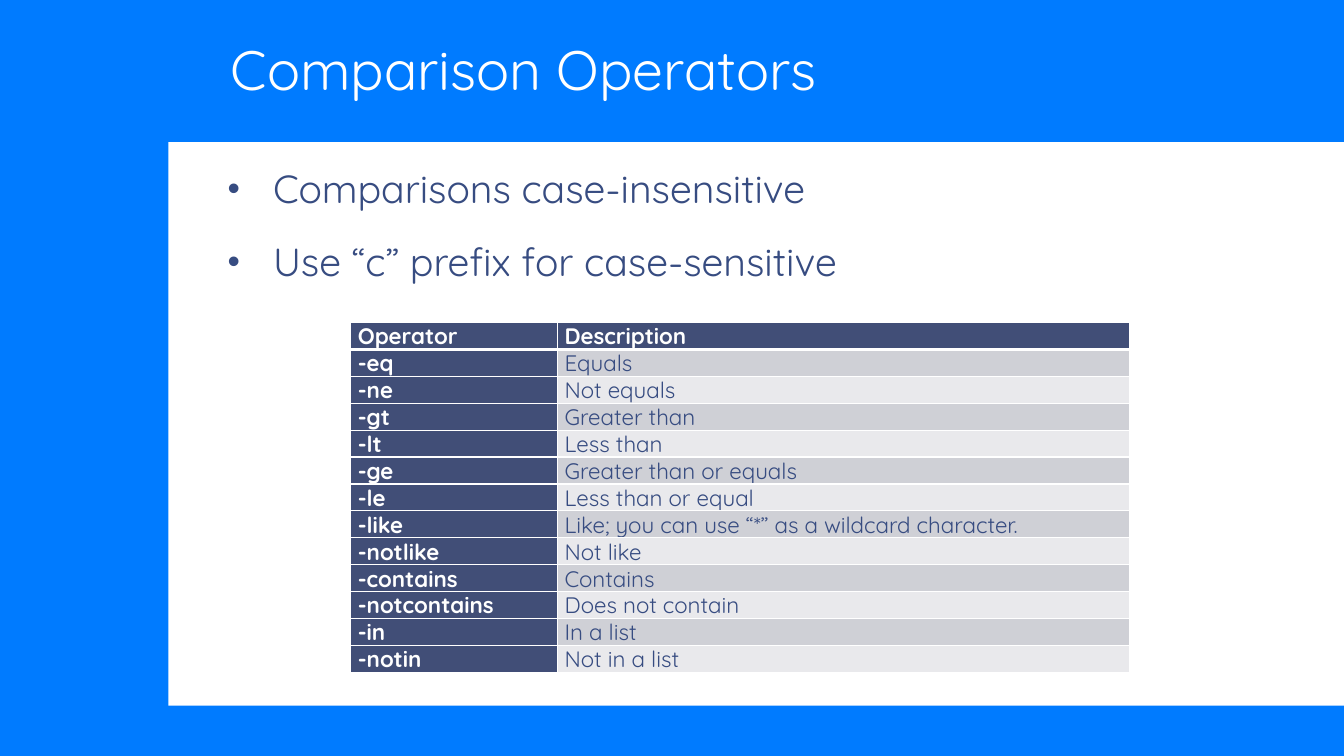
from dataclasses import dataclass

from lxml import etree
from pptx import Presentation
from pptx import util as u
from pptx.dml.color import RGBColor
from pptx.enum import shapes, text
from pptx.oxml import ns

PX = 9144  # 100 px to the inch


@dataclass(frozen=True)
class Theme:
    font: str = "Quicksand"
    blue: str = "007BFF"
    white: str = "FFFFFF"
    ink: str = "374C81"
    navy: str = "414E77"
    dark_band: str = "CFD0D6"
    light_band: str = "E9E9EC"
    title_size: float = 39.6
    bullet_size: float = 28
    cell_size: float = 16


THEME = Theme()

BULLETS = ["Comparisons case-insensitive", "Use “c” prefix for case-sensitive"]
OPERATORS = [
    ("Operator", "Description"),
    ("-eq", "Equals"),
    ("-ne", "Not equals"),
    ("-gt", "Greater than"),
    ("-lt", "Less than"),
    ("-ge", "Greater than or equals"),
    ("-le", "Less than or equal"),
    ("-like", "Like; you can use “*” as a wildcard character."),
    ("-notlike", "Not like"),
    ("-contains", "Contains"),
    ("-notcontains", "Does not contain"),
    ("-in", "In a list"),
    ("-notin", "Not in a list"),
]


def px(*lengths):
    return [u.Emu(length * PX) for length in lengths]


def paint(fill, color):
    fill.solid()
    fill.fore_color.rgb = RGBColor.from_string(color)


def style_text(paragraph, size, color, bold=False):
    for run in paragraph.runs:
        run.font.name = THEME.font
        run.font.size = u.Pt(size)
        run.font.bold = bold
        run.font.color.rgb = RGBColor.from_string(color)


def set_margins(target, side, edge):
    target.margin_left = target.margin_right = u.Emu(side * PX)
    target.margin_top = target.margin_bottom = u.Emu(edge * PX)


def add_bullet(paragraph, hang):
    props = paragraph._p.get_or_add_pPr()
    props.set("marL", str(hang * PX))
    props.set("indent", str(-hang * PX))
    etree.SubElement(props, ns.qn("a:buSzPct"), val="90000")
    etree.SubElement(props, ns.qn("a:buFont"), typeface="Arial")
    etree.SubElement(props, ns.qn("a:buChar"), char="•")


def set_borders(cell, bottom):
    props = cell._tc.get_or_add_tcPr()
    widths = {"a:lnL": 1, "a:lnR": 1, "a:lnT": 1, "a:lnB": bottom}
    for position, (side, width) in enumerate(widths.items()):
        line = etree.Element(ns.qn(side), w=str(u.Pt(width)))
        fill = etree.SubElement(line, ns.qn("a:solidFill"))
        etree.SubElement(fill, ns.qn("a:srgbClr"), val=THEME.white)
        props.insert(position, line)


def draw_panel(slide, box):
    panel = slide.shapes.add_shape(shapes.MSO_SHAPE.RECTANGLE, *px(*box))
    panel.shadow.inherit = False
    paint(panel.fill, THEME.white)
    panel.line.fill.background()


def draw_title(slide, box):
    frame = slide.shapes.add_textbox(*px(*box)).text_frame
    frame.word_wrap = True
    frame.vertical_anchor = text.MSO_ANCHOR.BOTTOM
    set_margins(frame, 13, 7)
    frame.text = "Comparison Operators"
    heading = frame.paragraphs[0]
    heading.line_spacing = 0.85
    style_text(heading, THEME.title_size, THEME.white)


def draw_bullets(slide, box):
    frame = slide.shapes.add_textbox(*px(*box)).text_frame
    frame.word_wrap = True
    set_margins(frame, 10, 5)
    frame.text = "\n".join(BULLETS)
    for point in frame.paragraphs:
        point.space_before = u.Pt(18.7)
        add_bullet(point, 45)
        style_text(point, THEME.bullet_size, THEME.ink)


def draw_operators(slide, box):
    left, top, width, height = box
    table = slide.shapes.add_table(len(OPERATORS), 2, *px(*box)).table
    operator_width = 205
    table.columns[0].width, table.columns[1].width = px(
        operator_width, width - operator_width)
    for row, entry in enumerate(OPERATORS):
        table.rows[row].height = u.Emu(height * PX // len(OPERATORS))
        band = THEME.dark_band if row % 2 else THEME.light_band
        for column, wording in enumerate(entry):
            heading = row == 0 or column == 0
            cell = table.cell(row, column)
            set_margins(cell, 7, 0)
            cell.text = wording
            style_text(cell.text_frame.paragraphs[0], THEME.cell_size,
                       THEME.white if heading else THEME.ink, heading)
            paint(cell.fill, THEME.navy if heading else band)
            set_borders(cell, 3 if row == 0 else 1)


def draw_slide(deck, box):
    left, top, width, height = box
    slide = deck.slides.add_slide(deck.slide_layouts[6])
    paint(slide.background.fill, THEME.blue)
    draw_panel(slide, (left + 167, top + 141, width - 167, 559))
    draw_title(slide, (left + 216, top + 33, 1058, 75))
    draw_bullets(slide, (left + 216, top + 158, 1058, 508))
    draw_operators(slide, (left + 348, top + 320, 772, 347))


def main():
    deck = Presentation()
    deck.slide_width, deck.slide_height = px(1333, 750)
    draw_slide(deck, (0, 0, 1333, 750))
    deck.save("out.pptx")


if __name__ == "__main__":
    main()
